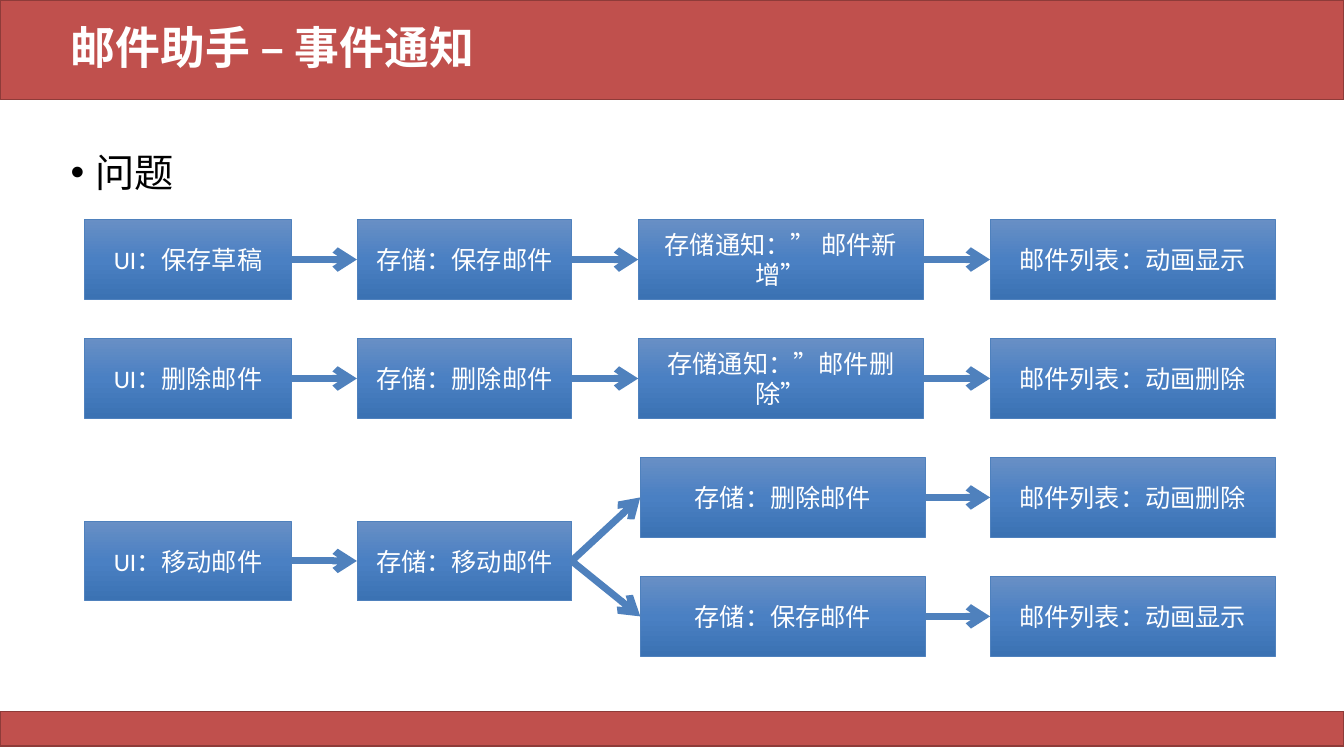
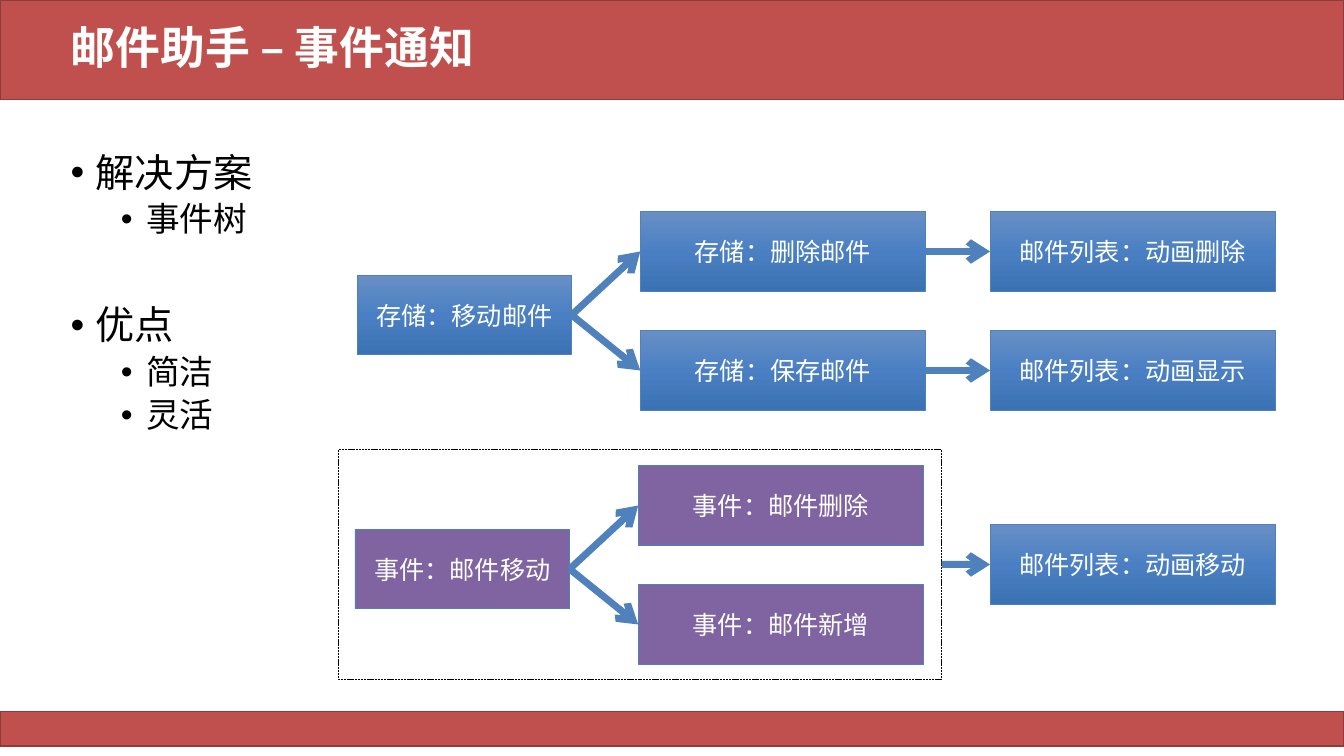
from copy import deepcopy

from lxml import etree
from pptx import Presentation
from pptx.dml.color import RGBColor
from pptx.enum.dml import MSO_LINE
from pptx.enum.shapes import MSO_CONNECTOR, MSO_SHAPE
from pptx.enum.text import MSO_ANCHOR, MSO_AUTO_SIZE, PP_ALIGN
from pptx.oxml.ns import qn
from pptx.util import Inches, Pt

RECT = MSO_SHAPE.RECTANGLE
STRAIGHT = MSO_CONNECTOR.STRAIGHT
DASHED = MSO_LINE.SQUARE_DOT
LEFT, CENTER = PP_ALIGN.LEFT, PP_ALIGN.CENTER
MIDDLE, TOP = MSO_ANCHOR.MIDDLE, MSO_ANCHOR.TOP
NO_FIT = MSO_AUTO_SIZE.NONE

WHITE = RGBColor(0xFF, 0xFF, 0xFF)
BLACK = RGBColor(0x00, 0x00, 0x00)
RED = RGBColor(0xC0, 0x50, 0x4D)
DARK_RED = RGBColor(0x8E, 0x3B, 0x39)
BLUE = RGBColor(0x4F, 0x81, 0xBD)
PURPLE = RGBColor(0x80, 0x64, 0xA2)
BLUE_STOPS = [
    (0, RGBColor(0x68, 0x8F, 0xC5)),
    (0.5, RGBColor(0x4A, 0x80, 0xC3)),
    (1, RGBColor(0x3B, 0x72, 0xB3)),
]
LATIN_FONT, CJK_FONT = "Calibri", "Noto Sans CJK SC"

# Inches
WIDTH, HEIGHT = 13.33, 7.5
BANDS = [(0, 0.99), (7.06, 0.34)]  # top, height
TITLE_AREA = (0.6, 0.2, 11.5, 0.59)
BODY_AREA = (0.6, 1.47, 12.28, 5.28)
BOX_HEIGHT, ROW_PITCH, FORK_DROP = 0.79, 1.18, 0.63
COLUMNS = {  # left, width
    "ui": (0.84, 2.05),
    "event": (3.52, 2.13),
    "store": (3.54, 2.13),
    "notice": (6.33, 2.83),
    "branch": (6.35, 2.83),
    "list": (9.82, 2.83),
}

# Content
TITLE = "邮件助手 – 事件通知"
PROBLEM = [(0, "问题")]
SOLUTION = [(0, "解决方案"), (1, "事件树"), (0, "优点"), (1, "简洁"), (1, "灵活")]
LEVELS = [  # size, left margin, space before
    (28, 0.25, 48),
    (24, 0.75, 5),
]
SIMPLE_FLOWS = [
    [("ui", "UI：保存草稿"), ("store", "存储：保存邮件"),
     ("notice", "存储通知：” 邮件新增”"), ("list", "邮件列表：动画显示")],
    [("ui", "UI：删除邮件"), ("store", "存储：删除邮件"),
     ("notice", "存储通知：”邮件删除”"), ("list", "邮件列表：动画删除")],
]
MOVE_UI = ("ui", "UI：移动邮件")
MOVE_STORE = ("store", "存储：移动邮件")
MOVE_BRANCHES = [
    [("branch", "存储：删除邮件"), ("list", "邮件列表：动画删除")],
    [("branch", "存储：保存邮件"), ("list", "邮件列表：动画显示")],
]
MOVE_EVENT = ("event", "事件：邮件移动")
EVENT_BRANCHES = [[("notice", "事件：邮件删除")], [("notice", "事件：邮件新增")]]
MOVE_RESULT = ("list", "邮件列表：动画移动")


def set_font(paragraph, size, color, bold=False):
    font = paragraph.font
    font.name, font.size, font.bold = LATIN_FONT, Pt(size), bold
    font.color.rgb = color
    latin = paragraph._p.pPr.find(".//" + qn("a:latin"))
    east_asian = etree.Element(qn("a:ea"), typeface=CJK_FONT)
    latin.addnext(east_asian)


def add_rect(slide, area, line_color, line_width):
    rect = slide.shapes.add_shape(RECT, *map(Inches, area))
    rect.shadow.inherit = False
    rect.line.color.rgb = line_color
    rect.line.width = Pt(line_width)
    return rect


def fill_blue(box):
    box.fill.gradient()
    stop_list = box._element.spPr.find(".//" + qn("a:gsLst"))
    stop_list.append(deepcopy(stop_list[-1]))
    for stop, (position, color) in zip(box.fill.gradient_stops, BLUE_STOPS):
        stop.position = position
        stop.color.rgb = color
    box.fill.gradient_angle = 270


def add_box(slide, top, step, color=None):
    """Add a labelled box; without a colour it gets the blue gradient."""
    column, label = step
    left, width = COLUMNS[column]
    box = add_rect(slide, (left, top, width, BOX_HEIGHT), BLUE, 0.5)
    if color is None:
        fill_blue(box)
    else:
        box.fill.solid()
        box.fill.fore_color.rgb = color
    frame = box.text_frame
    frame.word_wrap, frame.vertical_anchor = True, MIDDLE
    paragraph = frame.paragraphs[0]
    paragraph.text, paragraph.alignment = label, CENTER
    set_font(paragraph, 18, WHITE)
    return box


def link(slide, source, target):
    """Draw an arrow from the right side of source to the left side of target."""
    arrow = slide.shapes.add_connector(STRAIGHT, 0, 0, 0, 0)
    arrow.begin_connect(source, 3)
    arrow.end_connect(target, 1)
    arrow.line.color.rgb = BLUE
    arrow.line.width = Pt(5)
    etree.SubElement(arrow.line._get_or_add_ln(), qn("a:tailEnd"), type="arrow")
    etree.SubElement(arrow._element.spPr, qn("a:effectLst"))


def add_chain(slide, top, steps, color=None):
    boxes = [add_box(slide, top, step, color) for step in steps]
    for source, target in zip(boxes, boxes[1:]):
        link(slide, source, target)
    return boxes


def add_fork(slide, top, stem, branches, color=None):
    """Draw a chain whose last box splits into one row per branch."""
    root = add_chain(slide, top + FORK_DROP, stem, color)[-1]
    for row, branch in enumerate(branches):
        first = add_chain(slide, top + row * ROW_PITCH, branch, color)[0]
        link(slide, root, first)


def place(placeholder, area, anchor):
    placeholder.left, placeholder.top, placeholder.width, placeholder.height = map(
        Inches, area)
    frame = placeholder.text_frame
    frame.auto_size, frame.word_wrap, frame.vertical_anchor = NO_FIT, True, anchor
    return frame


def add_bands(slide):
    """Put the red bands on the slide's layout, behind its placeholders."""
    layout_tree = slide.slide_layout.shapes._spTree
    for top, height in BANDS:
        band = add_rect(slide, (0, top, WIDTH, height), DARK_RED, 1)
        band.fill.solid()
        band.fill.fore_color.rgb = RED
        layout_tree.insert(2, band._element)


def write_bullets(frame, items):
    for index, (level, text) in enumerate(items):
        paragraph = frame.paragraphs[0] if index == 0 else frame.add_paragraph()
        size, margin, space = LEVELS[level]
        paragraph.text, paragraph.level = text, level
        properties = paragraph._p.get_or_add_pPr()
        properties.set("marL", str(Inches(margin)))
        properties.set("indent", str(Inches(-0.25)))
        etree.SubElement(properties, qn("a:buFont"), typeface="Arial")
        etree.SubElement(properties, qn("a:buChar"), char="•")
        paragraph.line_spacing = 0.9
        paragraph.space_before = Pt(space if index else 0)
        set_font(paragraph, size, BLACK)


def add_slide(deck, bullets):
    slide = deck.slides.add_slide(deck.slide_layouts[1])
    heading = place(slide.shapes.title, TITLE_AREA, MIDDLE).paragraphs[0]
    heading.text, heading.alignment = TITLE, LEFT
    heading.line_spacing = 0.9
    set_font(heading, 32, WHITE, bold=True)
    write_bullets(place(slide.placeholders[1], BODY_AREA, TOP), bullets)
    return slide


def main():
    deck = Presentation()
    deck.slide_width, deck.slide_height = Inches(WIDTH), Inches(HEIGHT)

    problem = add_slide(deck, PROBLEM)
    add_bands(problem)
    first_row = 2.18
    for row, flow in enumerate(SIMPLE_FLOWS):
        add_chain(problem, first_row + row * ROW_PITCH, flow)
    fork_top = first_row + len(SIMPLE_FLOWS) * ROW_PITCH
    add_fork(problem, fork_top, [MOVE_UI, MOVE_STORE], MOVE_BRANCHES)

    solution = add_slide(deck, SOLUTION)
    add_fork(solution, 2.1, [MOVE_STORE], MOVE_BRANCHES)
    add_fork(solution, 4.62, [MOVE_EVENT], EVENT_BRANCHES, PURPLE)
    tree_top, tree_height = 4.46, 2.28
    event_tree = add_rect(solution, (3.36, tree_top, 5.98, tree_height), BLACK, 0.5)
    event_tree.fill.background()
    event_tree.line.dash_style = DASHED
    result_top = tree_top + (tree_height - BOX_HEIGHT) / 2
    link(solution, event_tree, add_box(solution, result_top, MOVE_RESULT))

    deck.save("out.pptx")


if __name__ == "__main__":
    main()
